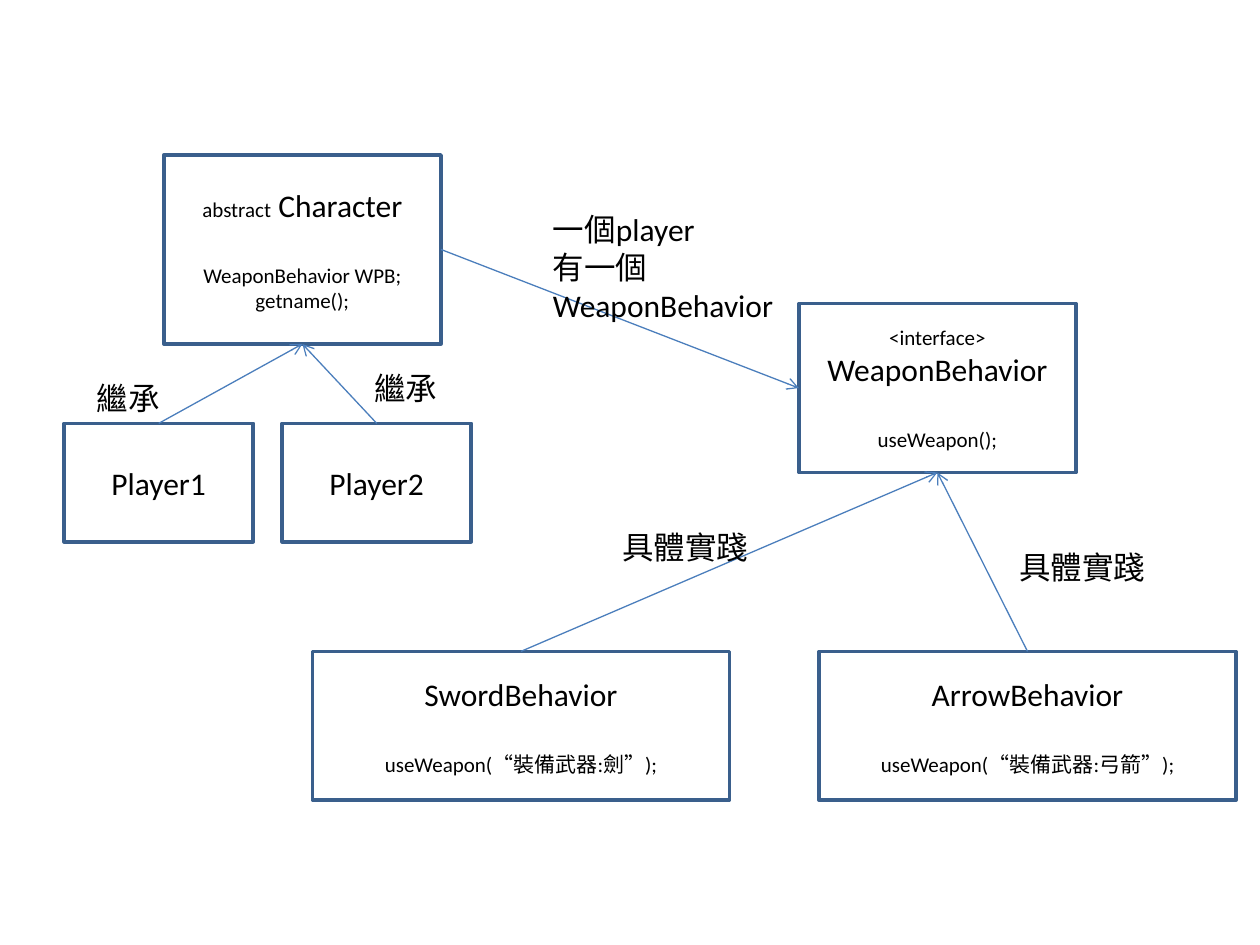
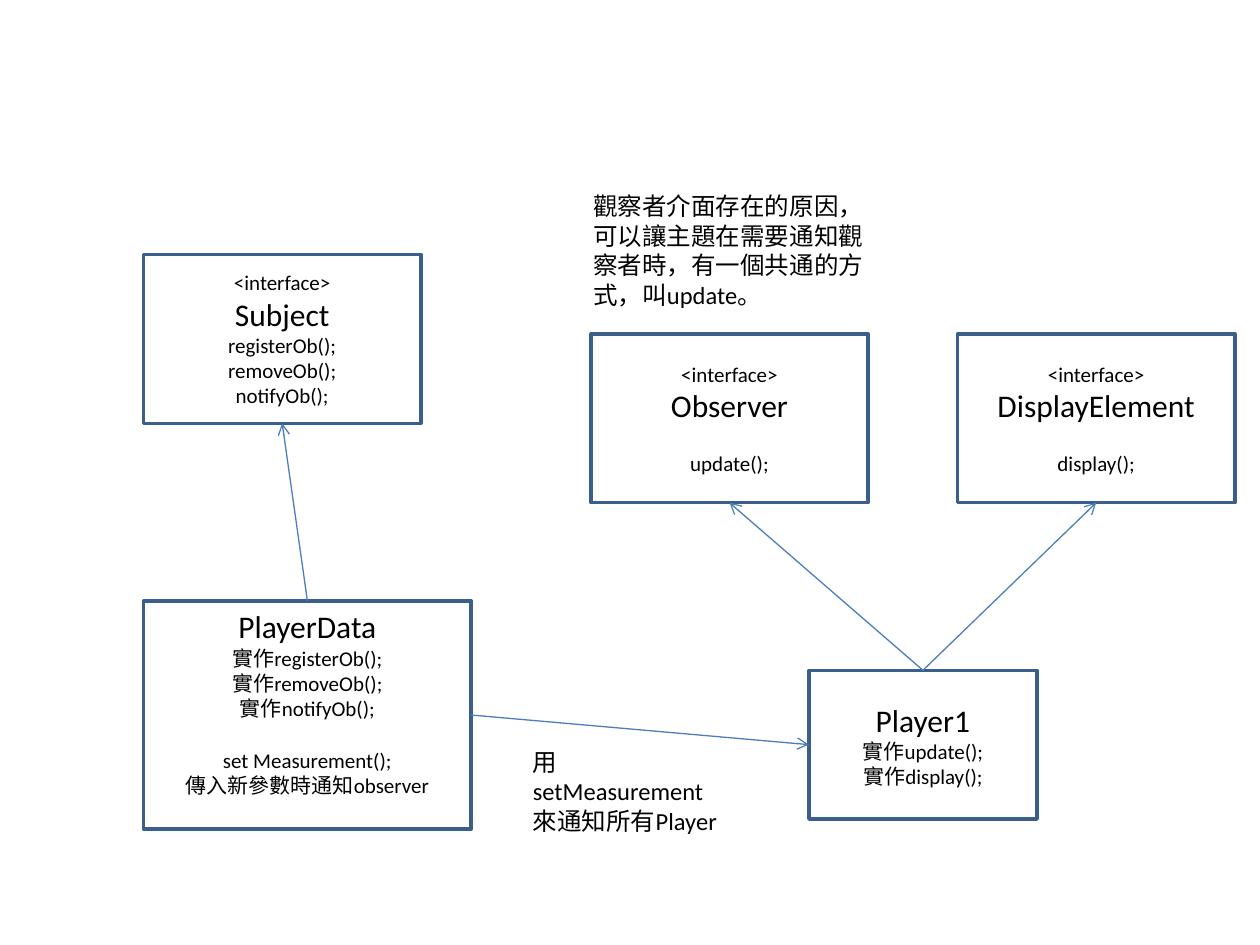
"""Builds two class diagrams: weapon strategy and player observer."""
from dataclasses import dataclass

from lxml import etree
from pptx import Presentation
from pptx.dml.color import RGBColor
from pptx.enum.shapes import MSO_CONNECTOR, MSO_SHAPE
from pptx.enum.text import MSO_ANCHOR, PP_ALIGN
from pptx.oxml.ns import qn
from pptx.util import Inches, Pt

PROCESS = MSO_SHAPE.FLOWCHART_PROCESS
STRAIGHT = MSO_CONNECTOR.STRAIGHT
MIDDLE = MSO_ANCHOR.MIDDLE
LEFT, CENTER = PP_ALIGN.LEFT, PP_ALIGN.CENTER
SITE_TOP, SITE_LEFT, SITE_BOTTOM, SITE_RIGHT = range(4)


@dataclass(frozen=True)
class Theme:
    """Colours, type sizes and line widths of the diagrams."""
    font: str = "Calibri"
    text: RGBColor = RGBColor(0x00, 0x00, 0x00)
    border: RGBColor = RGBColor(0x3A, 0x5F, 0x8C)
    arrow: RGBColor = RGBColor(0x4B, 0x7E, 0xBC)
    name: int = 18
    note: int = 14
    member: int = 12
    border_width: float = 2
    arrow_width: float = 0.75
    wide_gap: int = 22
    gap: int = 15


THEME = Theme()


@dataclass(frozen=True)
class Line:
    """One paragraph: its (text, size) runs and the space above it."""
    runs: tuple
    gap: float = 0


def name(text):
    """Return a class name line."""
    return Line(((text, THEME.name),))


def member(text, gap=0):
    """Return a class member line."""
    return Line(((text, THEME.member),), gap)


def note(text):
    """Return a line of an explaining note."""
    return Line(((text, THEME.note),))


class Diagram:
    """Draws class boxes, arrows and labels on the current slide."""

    def __init__(self, prs, theme):
        """Keep the presentation and theme."""
        self.prs, self.theme, self.s = prs, theme, None

    def new_slide(self):
        """Start a blank slide."""
        self.s = self.prs.slides.add_slide(self.prs.slide_layouts[6])

    def add_lines(self, tf, lines, align):
        """Add lines to a text frame, run by run."""
        tf.word_wrap = True
        for i, line in enumerate(lines):
            p = tf.add_paragraph() if i else tf.paragraphs[0]
            p.alignment = align
            p.space_before = Pt(line.gap)
            for text, size in line.runs:
                r = p.add_run()
                r.text = text
                r.font.name = self.theme.font
                r.font.size = Pt(size)
                r.font.color.rgb = self.theme.text

    def box(self, x, y, w, h, *lines, bottom=0.05):
        """Add an outlined class box."""
        sp = self.s.shapes.add_shape(PROCESS, Inches(x), Inches(y), Inches(w), Inches(h))
        sp.shadow.inherit = False
        sp.fill.background()
        sp.line.color.rgb = self.theme.border
        sp.line.width = Pt(self.theme.border_width)
        tf = sp.text_frame
        tf.vertical_anchor = MIDDLE
        tf.margin_bottom = Inches(bottom)
        self.add_lines(tf, lines, CENTER)
        return sp

    def label(self, x, y, w, h, *lines):
        """Add a left-aligned label."""
        sp = self.s.shapes.add_textbox(Inches(x), Inches(y), Inches(w), Inches(h))
        self.add_lines(sp.text_frame, lines, LEFT)

    def arrow(self, source, target, start=SITE_TOP, end=SITE_BOTTOM):
        """Join two boxes with an arrow glued to their sides."""
        c = self.s.shapes.add_connector(STRAIGHT, 0, 0, 0, 0)
        c.begin_connect(source, start)
        c.end_connect(target, end)
        c.line.color.rgb = self.theme.arrow
        c.line.width = Pt(self.theme.arrow_width)
        props = c._element.spPr
        etree.SubElement(props.find(qn("a:ln")), qn("a:tailEnd"), type="arrow")
        etree.SubElement(props, qn("a:effectLst"))


def weapon_slide(d):
    """Draw characters and their weapon behaviours."""
    d.new_slide()
    t = d.theme
    character = d.box(1.3, 1.23, 2.2, 1.5,
                      Line((("abstract", t.member), (" Character", t.name))),
                      member("WeaponBehavior WPB;", t.wide_gap), member("getname();"))
    weapon = d.box(6.34, 2.41, 2.2, 1.34, member("<interface>"),
                   name("WeaponBehavior"), member("useWeapon();", t.wide_gap))
    for x, player in ((0.51, "Player1"), (2.24, "Player2")):
        d.arrow(d.box(x, 3.36, 1.5, 0.94, name(player)), character)
    for x, behavior, item in ((2.48, "SwordBehavior", "劍"), (6.5, "ArrowBehavior", "弓箭")):
        box = d.box(x, 5.17, 3.31, 1.18, name(behavior),
                    member(f"useWeapon(“裝備武器:{item}”);", t.wide_gap))
        d.arrow(box, weapon)
    d.arrow(character, weapon, SITE_RIGHT, SITE_LEFT)
    for x, y in ((0.67, 2.96), (2.87, 2.88)):
        d.label(x, y, 0.75, 0.4, name("繼承"))
    for x, y in ((4.84, 4.14), (7.99, 4.3)):
        d.label(x, y, 1.25, 0.4, name("具體實踐"))
    d.label(4.29, 1.62, 2.6, 0.71, name("一個player"), name("有一個WeaponBehavior"))


def observer_slide(d):
    """Draw the subject, its observers and the player."""
    d.new_slide()
    t = d.theme
    calls = ("registerOb();", "removeOb();", "notifyOb();")
    subject = d.box(1.14, 2.02, 2.2, 1.34, member("<interface>"), name("Subject"),
                    *map(member, calls))
    data = d.box(1.14, 4.77, 2.6, 1.81, name("PlayerData"),
                 *(member(f"實作{call}") for call in calls),
                 member("set Measurement();", t.gap),
                 member("傳入新參數時通知observer"), bottom=0.25)
    player = d.box(6.42, 5.32, 1.81, 1.18, name("Player1"),
                   member("實作update();"), member("實作display();"))
    for x, title, call in ((4.69, "Observer", "update();"),
                           (7.6, "DisplayElement", "display();")):
        box = d.box(x, 2.65, 2.2, 1.34, member("<interface>"), name(title),
                    member(call, t.gap))
        d.arrow(player, box)
    d.arrow(data, subject)
    d.arrow(data, player, SITE_RIGHT, SITE_LEFT)
    d.label(4.61, 1.47, 2.4, 1.35, *map(note, (
        "觀察者介面存在的原因，", "可以讓主題在需要通知觀",
        "察者時，有一個共通的方", "式，叫update。")))
    d.label(4.13, 5.88, 1.75, 0.57, note("用 setMeasurement"), note("來通知所有Player"))


def main():
    """Build and save the presentation."""
    prs = Presentation()
    prs.slide_width, prs.slide_height = Inches(10), Inches(7.5)
    d = Diagram(prs, THEME)
    weapon_slide(d)
    observer_slide(d)
    prs.save("out.pptx")


if __name__ == "__main__":
    main()
